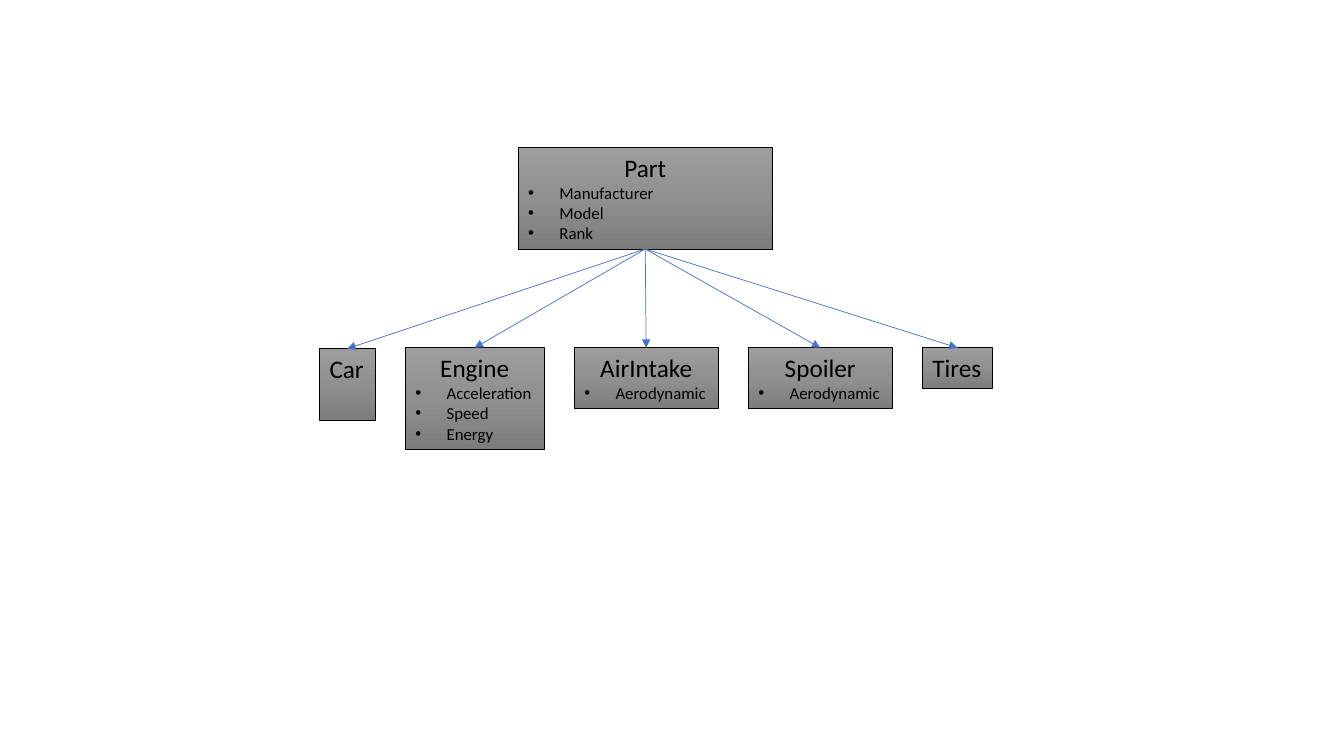
import pptx
import pptx.dml.color
import pptx.enum.dml
import pptx.enum.shapes
import pptx.enum.text
import pptx.oxml
import pptx.oxml.ns
import pptx.util
from lxml import etree

COLORS = {
    "top": "9D9D9D",
    "middle": "909090",
    "bottom": "7C7C7C",
    "ink": "000000",
    "arrow": "4472C4",
}
ALIGN = pptx.enum.text.PP_ALIGN
TITLE_ROWS = 5.37
ITEM_ROWS = 2.7
PART_COLUMN, PART_ROW, PART_COLUMNS = 38.56, 19.47, 18.9
CHILD_COLUMN, CHILD_ROW, CHILD_GAP = 23.78, 46, 2.27

CHILDREN = [
    {"title": "Car", "columns": 4.12, "rows": 9.5, "drop": 0.13},
    {"title": "Engine", "columns": 10.3, "items": ["Acceleration", "Speed", "Energy"]},
    {"title": "AirIntake", "columns": 10.68, "items": ["Aerodynamic"]},
    {"title": "Spoiler", "columns": 10.68, "items": ["Aerodynamic"]},
    {"title": "Tires", "columns": 5.2},
]


def color(name):
    return pptx.dml.color.RGBColor.from_string(COLORS[name])


def add_child(parent, tag, **attributes):
    return etree.SubElement(parent, pptx.oxml.ns.qn(tag), attributes)


def write_text(para, text, size=12, align=ALIGN.LEFT, bullet=False):
    para.alignment = align
    span = para.add_run()
    span.text = text
    span.font.size = pptx.util.Pt(size)
    span.font.name = "Calibri"
    span.font.color.rgb = color("ink")
    if bullet:
        properties = para._p.get_or_add_pPr()
        indent = pptx.util.Inches(0.31)
        properties.set("marL", str(indent))
        properties.set("indent", str(-indent))
        add_child(properties, "a:buFont", typeface="Arial")
        add_child(properties, "a:buChar", char="•")


class Diagram:
    line_width = pptx.util.Pt(0.5)

    def __init__(self, deck):
        self.page = deck.slides.add_slide(deck.slide_layouts[6])
        self.column = deck.slide_width / 100
        self.row = deck.slide_height / 100

    def fill_gradient(self, box):
        box.fill.gradient()
        gradient = box.fill._xPr.find(pptx.oxml.ns.qn("a:gradFill"))
        stops = gradient.find(pptx.oxml.ns.qn("a:gsLst"))
        for stop in list(stops):
            stops.remove(stop)
        for position, name in ((0, "top"), (50000, "middle"), (100000, "bottom")):
            stop = add_child(stops, "a:gs", pos=str(position))
            add_child(stop, "a:srgbClr", val=COLORS[name])
        box.fill.gradient_angle = 270

    def add_box(self, column, row, columns, title, items=(), rows=None, wrap=False):
        rows = rows or TITLE_ROWS + ITEM_ROWS * len(items)
        box = self.page.shapes.add_shape(
            pptx.enum.shapes.MSO_SHAPE.RECTANGLE,
            round(column * self.column), round(row * self.row),
            round(columns * self.column), round(rows * self.row))
        box.shadow.inherit = False
        self.fill_gradient(box)
        box.line.color.rgb = color("ink")
        box.line.width = self.line_width
        frame = box.text_frame
        frame.word_wrap = wrap
        frame.auto_size = pptx.enum.text.MSO_AUTO_SIZE.NONE
        frame.vertical_anchor = pptx.enum.text.MSO_ANCHOR.TOP
        align = ALIGN.CENTER if items else ALIGN.LEFT
        write_text(frame.paragraphs[0], title, size=18, align=align)
        for item in items:
            write_text(frame.add_paragraph(), item, bullet=True)
        return box

    def add_arrow(self, parent, child):
        arrow = self.page.shapes.add_connector(
            pptx.enum.shapes.MSO_CONNECTOR.STRAIGHT, 0, 0, 0, 0)
        arrow.begin_connect(parent, 2)
        arrow.end_connect(child, 0)
        arrow.line.color.rgb = color("arrow")
        arrow.line.width = self.line_width
        add_child(arrow.line._get_or_add_ln(), "a:tailEnd", type="triangle")
        add_child(arrow._element.spPr, "a:effectLst")


def main():
    deck = pptx.Presentation()
    deck.slide_width = pptx.util.Inches(13.33)
    deck.slide_height = pptx.util.Inches(7.5)
    diagram = Diagram(deck)
    part = diagram.add_box(PART_COLUMN, PART_ROW, PART_COLUMNS, "Part",
                           items=["Manufacturer", "Model", "Rank"], wrap=True)
    boxes = []
    column = CHILD_COLUMN
    for child in CHILDREN:
        boxes.append(diagram.add_box(
            column, CHILD_ROW + child.get("drop", 0), child["columns"],
            child["title"], child.get("items", ()), child.get("rows")))
        column += child["columns"] + CHILD_GAP
    for box in boxes:
        diagram.add_arrow(part, box)
    deck.save("out.pptx")


if __name__ == "__main__":
    main()
